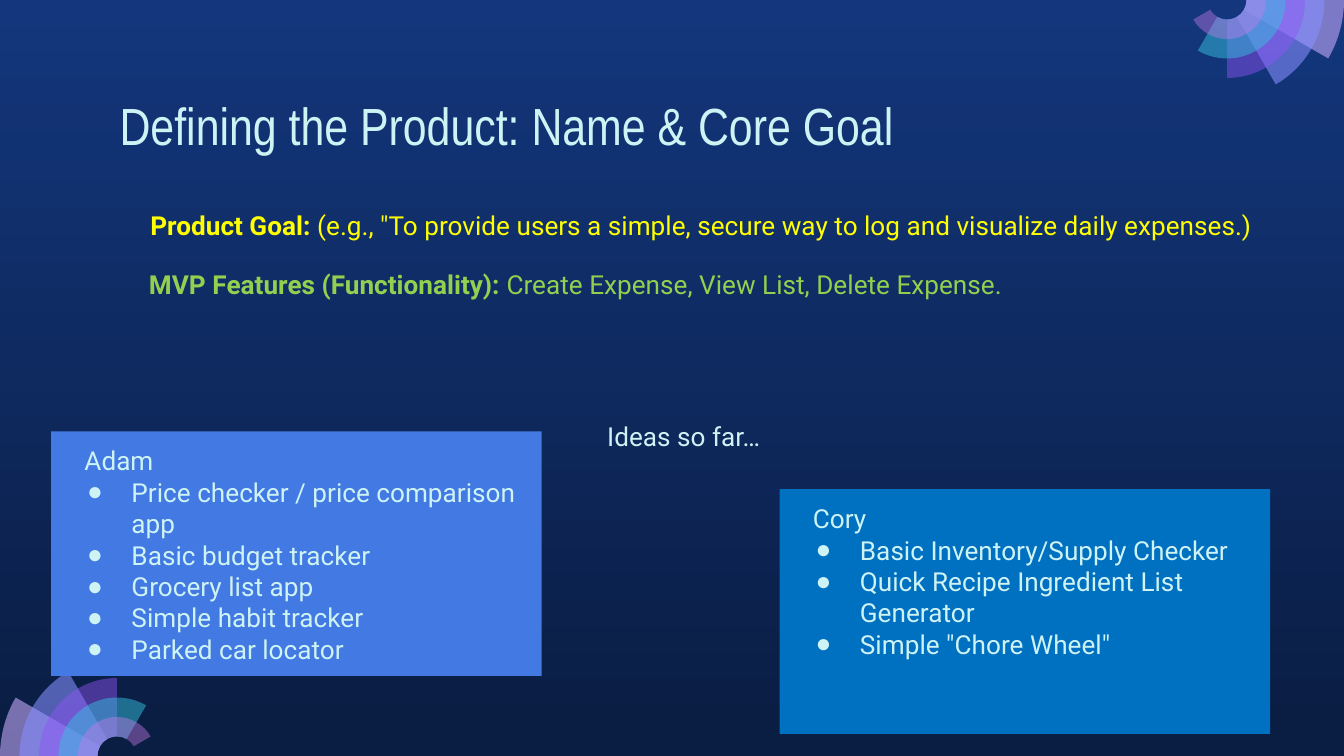
from dataclasses import dataclass
from math import cos, radians, sin, tan

from lxml.etree import SubElement
from pptx import Presentation
from pptx.dml.color import RGBColor
from pptx.enum.shapes import MSO_SHAPE
from pptx.enum.text import MSO_ANCHOR, MSO_AUTO_SIZE, PP_ALIGN
from pptx.oxml.ns import qn
from pptx.util import Inches, Pt


@dataclass(frozen=True)
class Theme:
    background_top: str = "13367C"
    background_bottom: str = "0A1D42"
    text: str = "CEF3F5"
    goal: str = "FFFF00"
    features: str = "92D050"
    adam: str = "4379E2"
    cory: str = "0070C0"
    # Fan sectors from the widest ring inwards: colour, opacity in percent
    fan: tuple = (("C8ACFD", 58), ("878FFF", 58), ("9154F8", 46),
                  ("35C2DF", 49), ("CA7BEB", 42))
    title_font: str = "Arial Narrow"
    body_font: str = "Roboto"
    bullet_font: str = "Arial"
    title_size: int = 28
    body_size: int = 14


THEME = Theme()
WIDTH, HEIGHT = 10, 5.625
FAN_RADIUS = 0.87
INSET = 0.1
TEXT_INDENT = 0.15
BULLET_INDENT, BULLET_HANGING = 0.5, -0.33


def rgb(value):
    return RGBColor.from_string(value)


def format_run(run, color, font=THEME.body_font, size=THEME.body_size, bold=False):
    run.font.name = font
    run.font.size = Pt(size)
    run.font.bold = bold
    run.font.color.rgb = rgb(color)


def prepare_frame(text_frame):
    text_frame.word_wrap = True
    text_frame.auto_size = MSO_AUTO_SIZE.NONE
    text_frame.vertical_anchor = MSO_ANCHOR.TOP
    text_frame.margin_left = text_frame.margin_right = Inches(INSET)
    text_frame.margin_top = text_frame.margin_bottom = Inches(INSET)


def set_indent(paragraph, left, first_line=0):
    paragraph.alignment = PP_ALIGN.LEFT
    properties = paragraph._p.get_or_add_pPr()
    properties.set("marL", str(Inches(left)))
    properties.set("indent", str(Inches(first_line)))
    return properties


def add_bullet(paragraph):
    properties = set_indent(paragraph, BULLET_INDENT, BULLET_HANGING)
    color = SubElement(properties, qn("a:buClr"))
    SubElement(color, qn("a:srgbClr"), val=THEME.text)
    SubElement(properties, qn("a:buFont"), typeface=THEME.bullet_font)
    SubElement(properties, qn("a:buChar"), char="●")


def add_background(slide):
    fill = slide.background.fill
    fill.gradient()
    fill.gradient_angle = 270
    colors = (THEME.background_top, THEME.background_bottom)
    for stop, color, position in zip(fill.gradient_stops, colors, (0, 1)):
        stop.color.rgb = rgb(color)
        stop.position = position


def curve_lines(lines):
    """Turn each three line segments into one cubic curve."""
    for first in range(0, len(lines), 3):
        group = lines[first:first + 3]
        curve = group[0].makeelement(qn("a:cubicBezTo"))
        group[0].addprevious(curve)
        for line in group:
            curve.append(line[0])
            line.getparent().remove(line)


def add_fan(slide, center_x, center_y, start):
    """Rings around a centre; each inner ring sweeps 30 degrees further."""
    step = FAN_RADIUS / 6

    def arc(radius, stops):
        """Curve points through the stops: a start, then two handles and an end each."""
        def point(angle, handle=0):
            x, y = cos(radians(angle)), sin(radians(angle))
            return (Inches(center_x + radius * (x - handle * y)),
                    Inches(center_y + radius * (y + handle * x)))

        points = [point(stops[0])]
        for begin, end in zip(stops, stops[1:]):
            handle = 4 / 3 * tan(radians(end - begin) / 4)
            points += [point(begin, handle), point(end, -handle), point(end)]
        return points

    for index, (color, opacity) in enumerate(THEME.fan):
        sweep = 30 * (index + 1)
        stops = [start + angle for angle in sorted({0, min(90, sweep), sweep})]
        outer = arc(FAN_RADIUS - index * step, stops)
        inner = arc(step, stops[::-1])
        builder = slide.shapes.build_freeform(*outer[0])
        builder.add_line_segments(outer[1:] + inner, close=True)
        sector = builder.convert_to_shape()
        lines = list(sector._element.iter(qn("a:lnTo")))
        curve_lines(lines[:len(outer) - 1])
        curve_lines(lines[len(outer):])
        sector.shadow.inherit = False
        sector.line.fill.background()
        sector.fill.solid()
        sector.fill.fore_color.rgb = rgb(color)
        fill_color = sector._element.spPr.find(qn("a:solidFill"))[0]
        SubElement(fill_color, qn("a:alpha"), val=str(opacity * 1000))


def add_title(slide, box, text):
    title = slide.shapes.title
    title.left, title.top, title.width, title.height = map(Inches, box)
    prepare_frame(title.text_frame)
    title.text_frame.text = text
    paragraph = title.text_frame.paragraphs[0]
    paragraph.alignment = PP_ALIGN.LEFT
    format_run(paragraph.runs[0], THEME.text, THEME.title_font, THEME.title_size)


def add_line_of_text(slide, box, text, color, label=""):
    """One line of text, opened by a bold label if there is one."""
    text_box = slide.shapes.add_textbox(*map(Inches, box))
    prepare_frame(text_box.text_frame)
    paragraph = text_box.text_frame.paragraphs[0]
    set_indent(paragraph, TEXT_INDENT)
    for part, bold in ((label, True), (text, False)):
        if part:
            run = paragraph.add_run()
            run.text = part
            format_run(run, color, bold=bold)


def add_idea_card(slide, box, color, name, ideas):
    card = slide.shapes.add_shape(MSO_SHAPE.RECTANGLE, *map(Inches, box))
    card.shadow.inherit = False
    card.line.fill.background()
    card.fill.solid()
    card.fill.fore_color.rgb = rgb(color)
    prepare_frame(card.text_frame)
    card.text_frame.text = "\n".join([name, *ideas])
    heading, *items = card.text_frame.paragraphs
    set_indent(heading, TEXT_INDENT)
    for item in items:
        add_bullet(item)
    for paragraph in (heading, *items):
        format_run(paragraph.runs[0], THEME.text)


def main():
    presentation = Presentation()
    presentation.slide_width, presentation.slide_height = Inches(WIDTH), Inches(HEIGHT)
    slide = presentation.slides.add_slide(presentation.slide_layouts[5])
    # Backdrop with a fan in two opposite corners
    add_background(slide)
    add_fan(slide, FAN_RADIUS, HEIGHT, 180)
    add_fan(slide, WIDTH - FAN_RADIUS, 0, 0)
    # Title and product statements
    add_title(slide, (0.79, 0.59, 8.43, 0.63), "Defining the Product: Name & Core Goal")
    add_line_of_text(
        slide, (0.87, 1.46, 8.58, 0.37),
        ' (e.g., "To provide users a simple, secure way to log and visualize daily expenses.)',
        THEME.goal, "Product Goal:")
    add_line_of_text(
        slide, (0.86, 1.9, 8.58, 0.37), " Create Expense, View List, Delete Expense.",
        THEME.features, "MVP Features (Functionality):")
    # Ideas from each person
    add_line_of_text(slide, (4.27, 3.03, 1.7, 0.37), "Ideas so far…", THEME.text)
    add_idea_card(slide, (0.38, 3.21, 3.65, 1.82), THEME.adam, "Adam", [
        "Price checker / price comparison app", "Basic budget tracker",
        "Grocery list app", "Simple habit tracker", "Parked car locator"])
    add_idea_card(slide, (5.8, 3.64, 3.65, 1.82), THEME.cory, "Cory", [
        "Basic Inventory/Supply Checker", "Quick Recipe Ingredient List Generator",
        'Simple "Chore Wheel"'])
    presentation.save("out.pptx")


if __name__ == "__main__":
    main()
